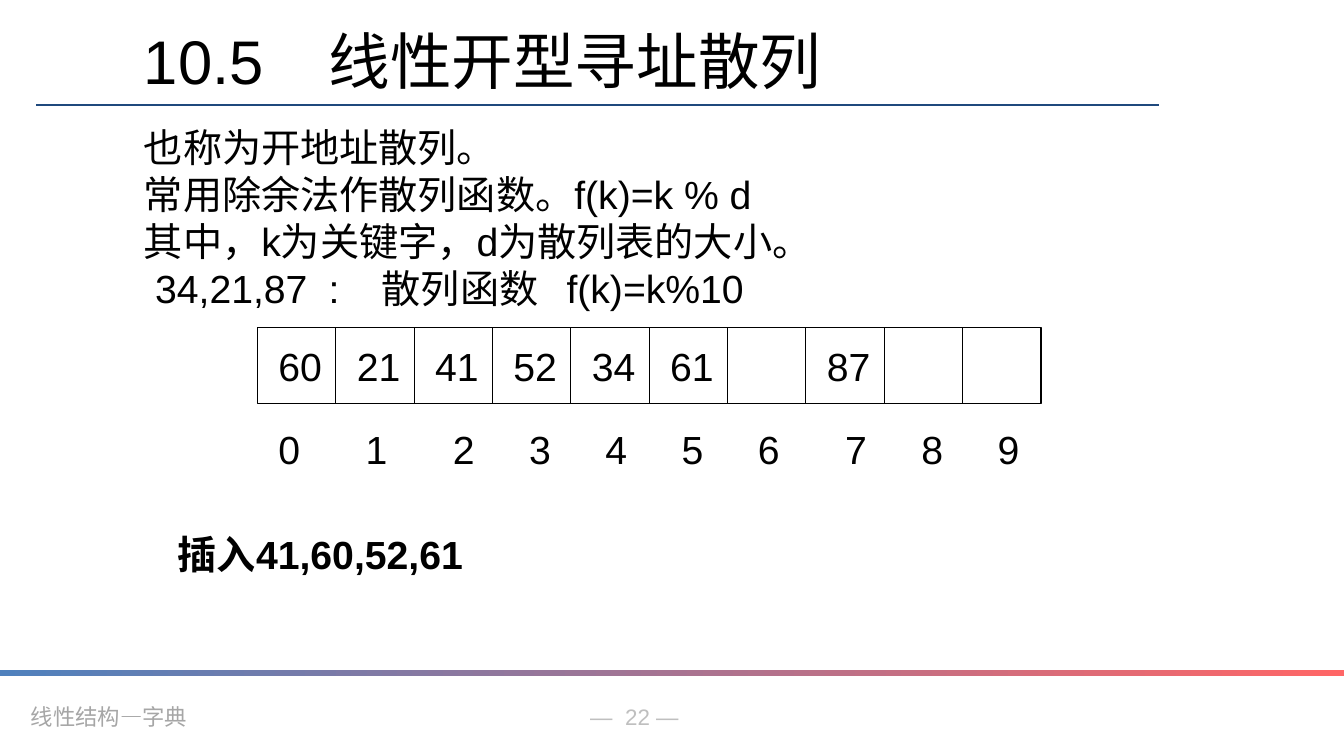
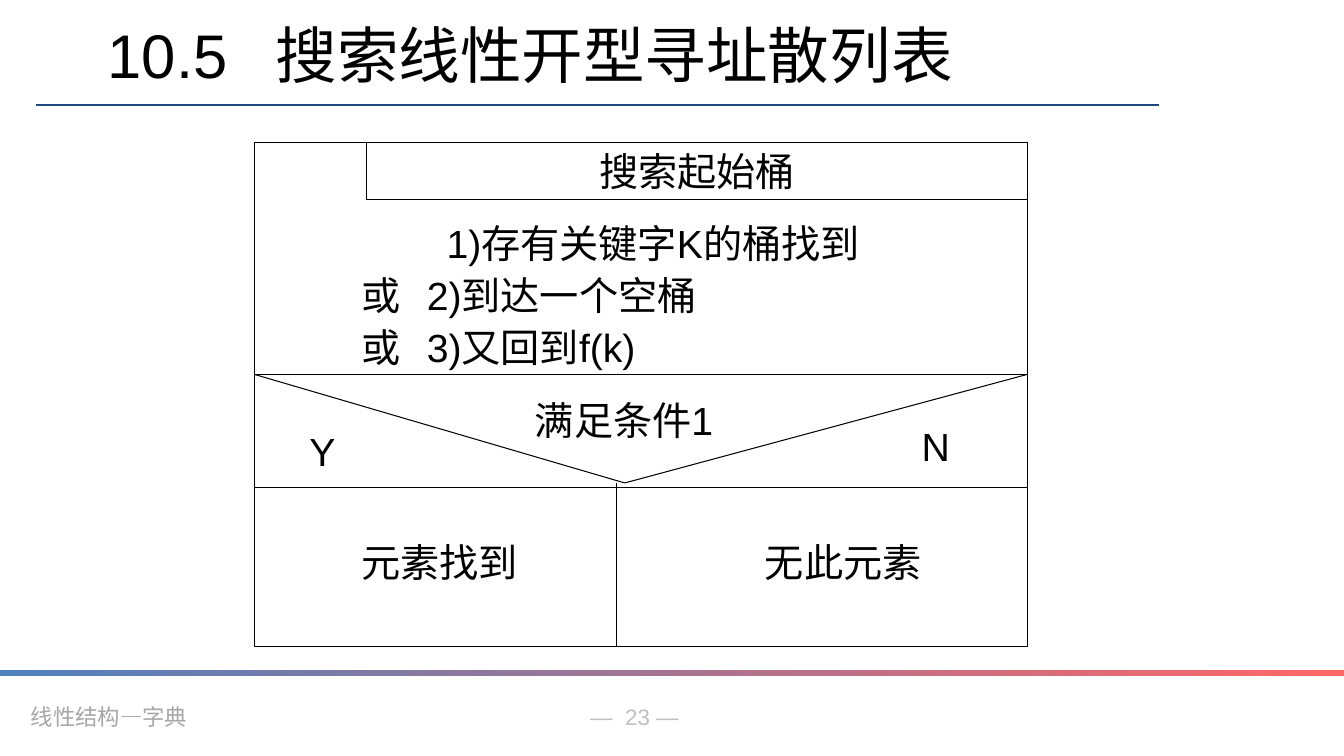
"""Builds two slides on linear open addressing in hash tables."""
from itertools import accumulate

from lxml import etree
from pptx import Presentation
from pptx.dml.color import RGBColor
from pptx.enum import shapes, text
from pptx.oxml import ns
from pptx.util import Pt

BLACK = RGBColor(0x00, 0x00, 0x00)
NAVY = RGBColor(0x1F, 0x49, 0x7D)
BLUE = RGBColor(0x4F, 0x81, 0xBD)
CORAL = RGBColor(0xFF, 0x66, 0x66)
GRAY = RGBColor(0xA6, 0xA6, 0xA6)
SILVER = RGBColor(0xBF, 0xBF, 0xBF)

WIDTH, HEIGHT = 960.5, 540
SANS, MONO = "Arial", "DejaVu Sans Mono"
LEFT = text.PP_ALIGN.LEFT
CENTER = text.PP_ALIGN.CENTER
TOP = text.MSO_ANCHOR.TOP
MIDDLE = text.MSO_ANCHOR.MIDDLE
BOTTOM = text.MSO_ANCHOR.BOTTOM


def add_tabs(p, stops):
    """Give a paragraph left tab stops at the given points."""
    tabs = etree.SubElement(p._p.get_or_add_pPr(), ns.qn("a:tabLst"))
    for stop in stops:
        etree.SubElement(tabs, ns.qn("a:tab"), pos=str(int(Pt(stop))), algn="l")


def write(sp, lines, size=28, color=BLACK, font=SANS, bold=False, align=LEFT,
          anchor=TOP, inset=7.2, bottom=3.6, gap=0):
    """Write lines into a shape; a line is a string or (string, tab stops)."""
    tf = sp.text_frame
    tf.word_wrap = True
    tf.vertical_anchor = anchor
    tf.margin_left, tf.margin_bottom = Pt(inset), Pt(bottom)
    for i, line in enumerate(lines):
        words, stops = (line, ()) if isinstance(line, str) else line
        p = tf.add_paragraph() if i else tf.paragraphs[0]
        p.text = words
        p.alignment = align
        if stops:
            add_tabs(p, stops)
        if i and gap:
            p.space_before = Pt(gap)
        p.font.size, p.font.name, p.font.bold = Pt(size), font, bold
        p.font.color.rgb = color


def add_text(s, x, y, w, h, *lines, **style):
    """Add a text box."""
    write(s.shapes.add_textbox(Pt(x), Pt(y), Pt(w), Pt(h)), lines, **style)


def add_box(s, x, y, w, h, *lines, **style):
    """Add an outlined rectangle without fill."""
    sp = s.shapes.add_shape(shapes.MSO_SHAPE.RECTANGLE, Pt(x), Pt(y), Pt(w), Pt(h))
    sp.shadow.inherit = False
    sp.fill.background()
    sp.line.color.rgb = BLACK
    sp.line.width = Pt(0.75)
    write(sp, lines, **style)


def add_line(s, x1, y1, x2, y2, color=BLACK, width=0.75):
    """Add a straight line without shadow."""
    line = s.shapes.add_connector(shapes.MSO_CONNECTOR.STRAIGHT,
                                  Pt(x1), Pt(y1), Pt(x2), Pt(y2))
    line.line.color.rgb = color
    line.line.width = Pt(width)
    etree.SubElement(line._element.spPr, ns.qn("a:effectLst"))


def add_band(s):
    """Add the gradient band above the footer."""
    sp = s.shapes.add_shape(shapes.MSO_SHAPE.RECTANGLE, 0, Pt(478.8), Pt(WIDTH), Pt(4))
    sp.shadow.inherit = False
    sp.line.fill.background()
    sp.fill.gradient()
    sp.fill.gradient_angle = 0
    for stop, color in zip(sp.fill.gradient_stops, (BLUE, CORAL)):
        stop.color.rgb = color


def new_slide(prs, number, title, x, y, w, h, stop):
    """Add a slide with its title, rule, band and footer."""
    s = prs.slides.add_slide(prs.slide_layouts[6])
    add_text(s, 414.7, 499, 137, 27, (f"—\t{number} —", (25,)), size=16, color=SILVER)
    add_text(s, 15, 499, 217, 27, "线性结构—字典", size=16, color=GRAY, font=MONO)
    add_line(s, 26, 75, 828, 75, NAVY, 1)
    add_band(s)
    add_text(s, x, y, w, h, (f"10.5\t{title}", (stop,)), size=44, anchor=MIDDLE)
    return s


def add_hash_slide(prs):
    """Show the hash table after the insertions."""
    s = new_slide(prs, 22, "线性开型寻址散列", 95.8, 11.5, 513, 62, 132)
    add_text(s, 95.8, 84.2, 857, 162,
             "也称为开地址散列。",
             "常用除余法作散列函数。f(k)=k % d",
             "其中，k为关键字，d为散列表的大小。",
             ("\t34,21,87\t:\t散列函数\tf(k)=k%10", (8, 132, 170, 302)))
    left, side = 184, 56
    buckets = ("60", "21", "41", "52", "34", "61", "", "87", "", "")
    for i, key in enumerate(buckets):
        add_box(s, left + i * side, 234, side, 54, key, anchor=MIDDLE, inset=15)
    wide, narrow = 62.3, 54.5
    gaps = [wide] * 2 + [narrow] * 4 + [wide] + [narrow] * 2
    indexes = "\t".join(str(i) for i in range(len(buckets)))
    add_text(s, left, 300, 594, 41, (indexes, list(accumulate(gaps))), inset=15)
    add_text(s, 120, 375, 624, 41, "插入41,60,52,61", bold=True)


def add_search_slide(prs):
    """Show the search as a structured flow diagram."""
    s = new_slide(prs, 23, "搜索线性开型寻址散列表", 69.8, 5.8, 816, 66, 120)
    left, right, top, split, base, bottom = 182, 734, 101.5, 267.5, 348.5, 461.5
    width, tip = right - left, 345
    add_box(s, 262, top, right - 262, 41, "搜索起始桶", align=CENTER)
    add_box(s, left, top, width, split - top,
            ("\t1)存有关键字K的桶找到", (130,)),
            ("\t或\t2)到达一个空桶", (69, 116)),
            ("\t或\t3)又回到f(k)", (69, 116)),
            anchor=BOTTOM, bottom=3, gap=3.5)
    add_box(s, left, split, width, bottom - split)
    add_line(s, left, base, right, base)
    for corner in (left, right):
        add_line(s, corner, split, 446.5, tip)
    add_line(s, 440.8, tip, 440.8, bottom)
    add_text(s, 342, 279.4, 208, 41, "满足条件1", align=CENTER)
    add_text(s, 214, 301.7, 48, 41, "Y")
    add_text(s, 651.6, 298, 48, 41, "N")
    for x, outcome in ((214, "元素找到"), (502.6, "无此元素")):
        add_text(s, x, 381, 200, 41, outcome, align=CENTER)


def main():
    """Build and save the presentation."""
    prs = Presentation()
    prs.slide_width, prs.slide_height = Pt(WIDTH), Pt(HEIGHT)
    add_hash_slide(prs)
    add_search_slide(prs)
    prs.save("out.pptx")


if __name__ == "__main__":
    main()
